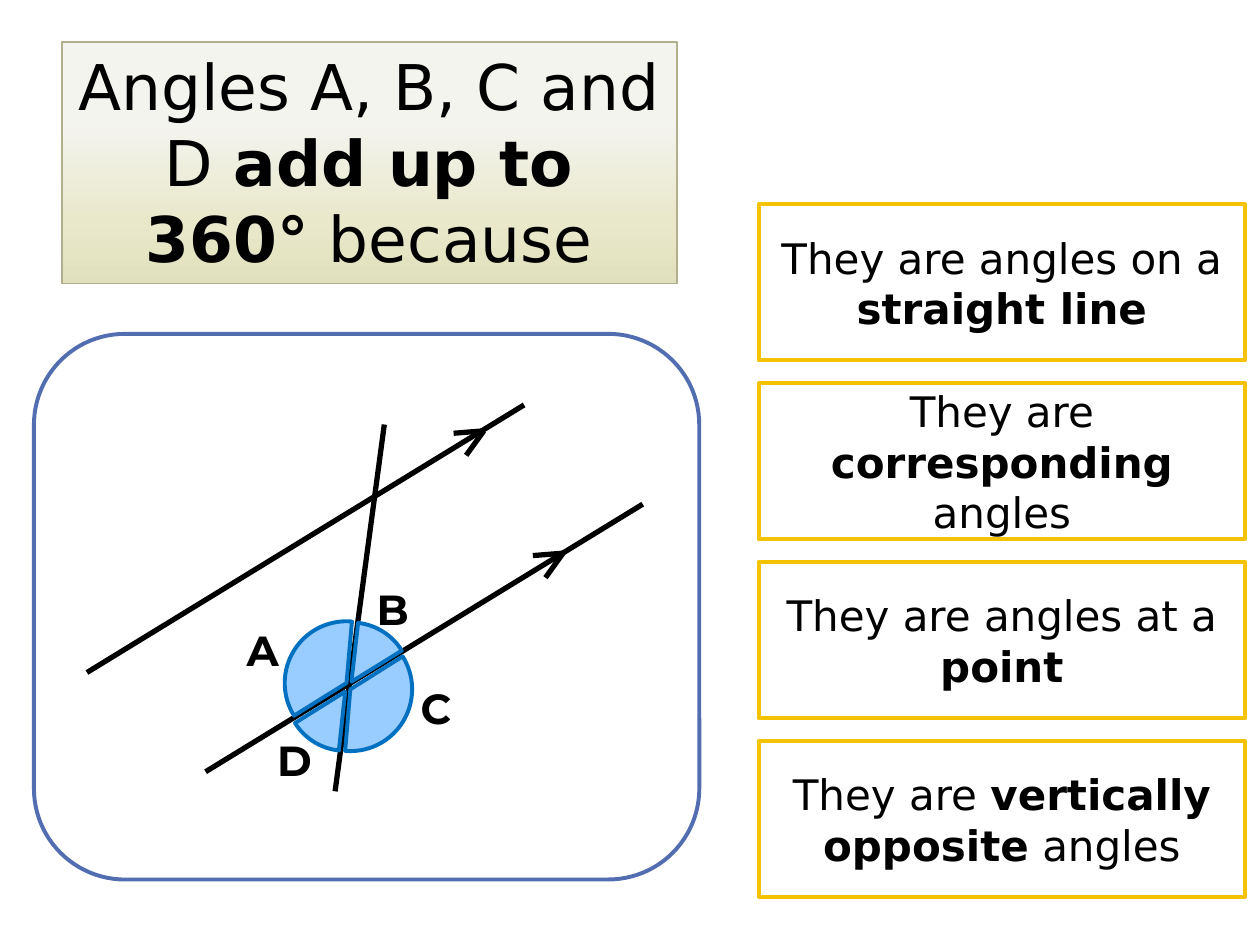
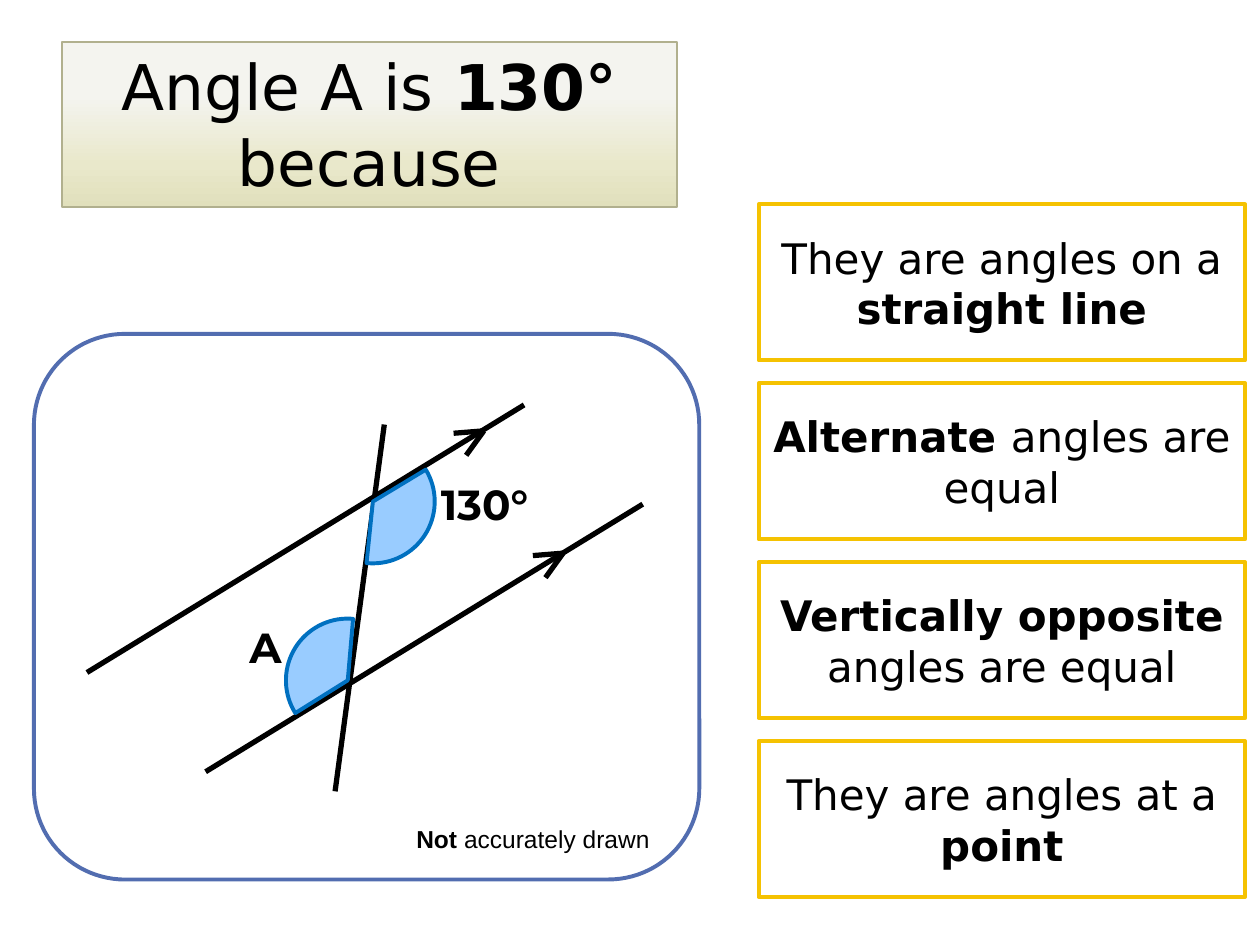
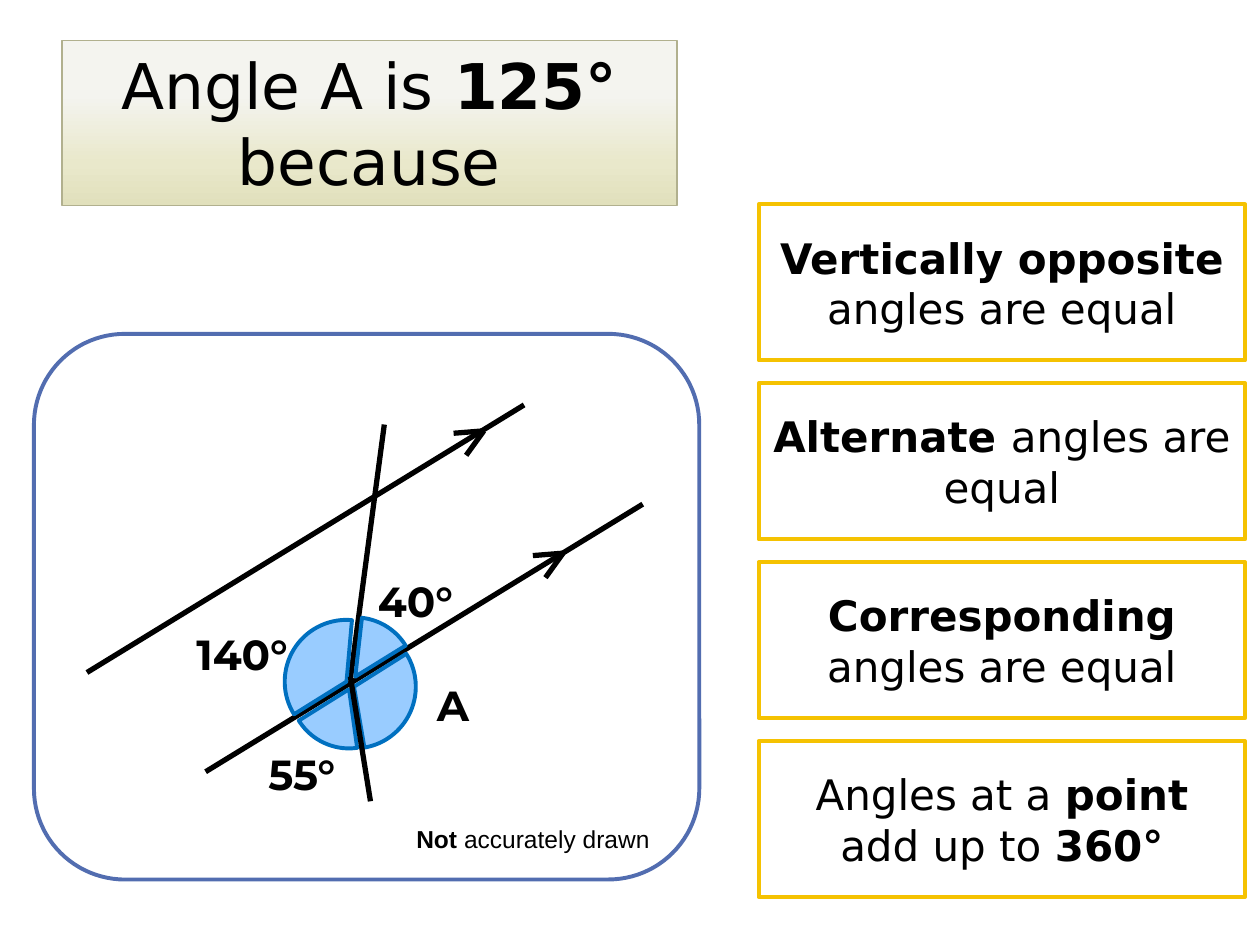
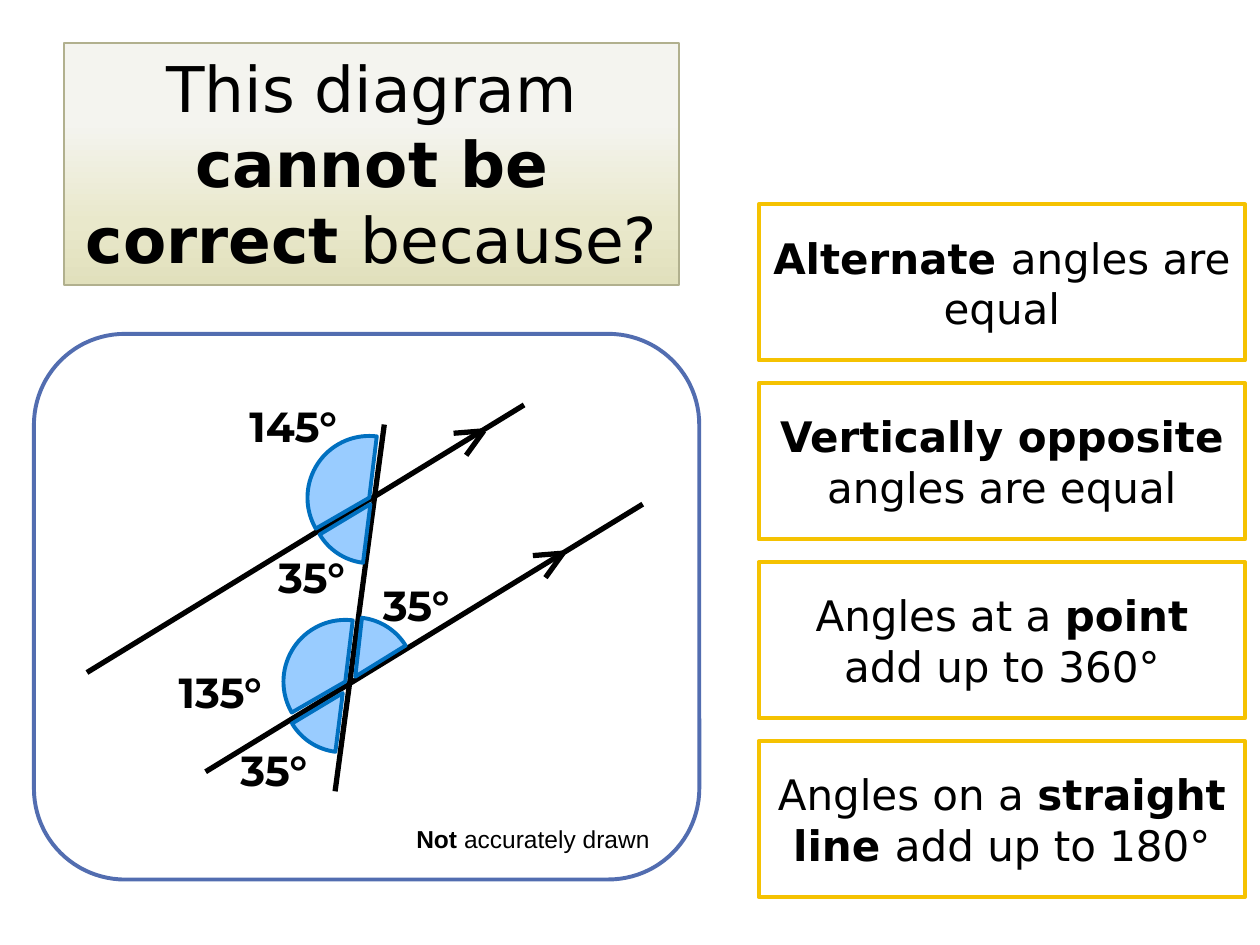
from copy import deepcopy
from dataclasses import dataclass

from pptx import Presentation
from pptx.dml.color import RGBColor
from pptx.enum import shapes, text
from pptx.oxml import ns, xmlchemy
from pptx.util import Pt


@dataclass(frozen=True)
class Theme:
    ink: str = "000000"
    paper: str = "FFFFFF"
    panel_edge: str = "526DB0"
    answer_edge: str = "F5C201"
    angle_fill: str = "99CCFF"
    angle_edge: str = "0070C0"
    question_edge: str = "B1B08E"
    question_stops: tuple = ((0, "E1E0BC"), (0.26, "E9E8CB"), (0.67, "F4F4EF"))
    body_font: str = "DejaVu Sans"
    label_font: str = "Montserrat"
    caveat_font: str = "Arial"
    question_size: float = 36
    body_size: float = 24
    caveat_size: float = 14
    edge: float = 2.25
    stroke: float = 3


THEME = Theme()
TITLE_ONLY = 5
LETTER, NARROW, WIDE = 28.1, 60.5, 73.4
OBTUSE = (70.6, 0, 127)
SHORT_OBTUSE = (70.6, 0, 112.5)
ACUTE = (67.7, 3.5, 55.3)
WIDE_ACUTE = (67.7, 349.4, 55.3)

CROSSING_TOP = (219.6, 242.6)
STRAIGHT = [(CROSSING_TOP, (191.5, 452.2))]
UPPER_BEND = [(CROSSING_TOP, (200.2, 388.1))]
LOWER_BEND = [((200.2, 386.6), (211.7, 457.9))]

ON_LINE = "They are angles on a **straight line**"
AT_POINT = "They are angles at a **point**"
ALTERNATE = "**Alternate **angles are equal"
OPPOSITE = "**Vertically opposite **angles are equal"

SLIDES = [
    dict(
        question="Angles A, B, C and D **add up to 360°** because",
        question_box=(35.3, 23.8, 351.4, 138.2),
        answers=[ON_LINE, "They are **corresponding** angles", AT_POINT,
                 "They are **vertically opposite** angles"],
        angles=[(OBTUSE, 164.9, 358.6, 327.8), (ACUTE, 163.4, 361.4, 92.7),
                (ACUTE, 167, 355.7, 273), (OBTUSE, 162.7, 355, 148.1)],
        labels=[("A", 133.9, 353.5, LETTER), ("B", 208.1, 329.8, LETTER),
                ("C", 233.3, 386.6, LETTER), ("D", 151.2, 416.2, LETTER)],
        caveat=False,
    ),
    dict(
        question="Angle A is **130° **because",
        question_box=(35.3, 23.8, 351.4, 94.3),
        answers=[ON_LINE, ALTERNATE, OPPOSITE, AT_POINT],
        angles=[(OBTUSE, 163.4, 353.5, 148), (OBTUSE, 177.8, 251.3, 328.9)],
        labels=[("A", 135.4, 351.4, LETTER), ("130°", 244.8, 270, WIDE)],
    ),
    dict(
        question="Angle A is **125° **because",
        question_box=(35.3, 23.2, 351.4, 94.3),
        answers=[OPPOSITE, ALTERNATE, "**Corresponding** angles are equal",
                 "Angles at a **point** add up to **360°**"],
        crossing=UPPER_BEND,
        crossing_over_angles=LOWER_BEND,
        angles=[(SHORT_OBTUSE, 167, 357.1, 327.8), (WIDE_ACUTE, 165.6, 360, 92.7),
                (ACUTE, 169.2, 352.8, 273), (OBTUSE, 162.7, 354.2, 148.1)],
        labels=[("A", 242.6, 384.5, LETTER), ("140°", 105.1, 355.7, WIDE),
                ("40°", 208.8, 325.4, WIDE), ("55°", 146.2, 424.1, WIDE)],
    ),
    dict(
        question="This diagram **cannot be correct **because?",
        question_box=(36.7, 24.5, 351.4, 138.2),
        answers=[ALTERNATE, OPPOSITE, "Angles at a **point** add up to 360°",
                 "Angles on a **straight line **add up to 180°"],
        angles=[(ACUTE, 169.2, 352.8, 273), (ACUTE, 177.8, 254.2, 93.7),
                (ACUTE, 162, 362.2, 93.7), (OBTUSE, 162, 354.2, 150),
                (OBTUSE, 175.7, 249.1, 150)],
        labels=[("35°", 211.7, 327.6, NARROW), ("35°", 151.9, 311.8, NARROW),
                ("35°", 130.3, 421.9, NARROW), ("135°", 95, 377.3, WIDE),
                ("145°", 135.4, 225.4, WIDE)],
    ),
]


def rgb(colour):
    return RGBColor.from_string(colour)


def points(*lengths):
    return [Pt(length) for length in lengths]


def write(frame, marked, font, size, align=text.PP_ALIGN.CENTER,
          anchor=text.MSO_ANCHOR.TOP):
    frame.word_wrap = True
    frame.vertical_anchor = anchor
    paragraph = frame.paragraphs[0]
    paragraph.alignment = align
    paragraph.font.name = font
    paragraph.font.size = Pt(size)
    paragraph.font.color.rgb = rgb(THEME.ink)
    for index, part in enumerate(marked.split("**")):
        if part:
            run = paragraph.add_run()
            run.text = part
            run.font.bold = index % 2 == 1


def outline(shape, colour, width):
    shape.line.color.rgb = rgb(colour)
    shape.line.width = Pt(width)


def add_outlined(slide, preset, box, fill, edge):
    shape = slide.shapes.add_shape(preset, *points(*box))
    shape.shadow.inherit = False
    shape.fill.solid()
    shape.fill.fore_color.rgb = rgb(fill)
    outline(shape, edge, THEME.edge)
    return shape


def add_line(container, start, end):
    line = container.shapes.add_connector(
        shapes.MSO_CONNECTOR.STRAIGHT, *points(*start, *end))
    outline(line, THEME.ink, THEME.stroke)
    line._element.spPr.append(xmlchemy.OxmlElement("a:effectLst"))


def add_lines(container, ends):
    for start, end in ends:
        add_line(container, start, end)


def add_parallels(slide):
    parallels = slide.shapes.add_group_shape()
    for dx, dy in ((0, 0), (67.8, 56.7)):
        add_line(parallels, (49.7 + dx, 384.3 + dy), (299.5 + dx, 231.4 + dy))
    for x, y in ((276.5, 246.2), (321.8, 316.1)):
        add_lines(parallels, [((x - 17.3, y + 1.4), (x, y)),
                              ((x, y), (x - 10.1, y + 14))])


def add_angle(slide, sector, left, top, rotation):
    size, start, end = sector
    angle = add_outlined(slide, shapes.MSO_SHAPE.PIE, (left, top, size, size),
                         THEME.angle_fill, THEME.angle_edge)
    angle.rotation = rotation
    for index, degrees in enumerate((start, end)):
        angle.adjustments[index] = degrees * 0.6


def add_text(slide, box, *style):
    note = slide.shapes.add_textbox(*points(*box))
    write(note.text_frame, *style)


def add_label(slide, name, left, top, width):
    add_text(slide, (left, top, width, 36), f"**{name}**", THEME.label_font,
             THEME.body_size, text.PP_ALIGN.LEFT)


def fill_question_gradient(question):
    question.fill.gradient()
    question.fill.gradient_angle = 90
    stop_list = question._element.spPr.find(".//" + ns.qn("a:gsLst"))
    stop_list.append(deepcopy(stop_list[-1]))
    for stop, (position, colour) in zip(question.fill.gradient_stops,
                                        THEME.question_stops):
        stop.position = position
        stop.color.rgb = rgb(colour)


def set_question(slide, wording, box):
    question = slide.shapes.title
    question.left, question.top, question.width, question.height = points(*box)
    fill_question_gradient(question)
    outline(question, THEME.question_edge, 1)
    write(question.text_frame, wording, THEME.body_font, THEME.question_size)
    question.text_frame.auto_size = text.MSO_AUTO_SIZE.SHAPE_TO_FIT_TEXT


def add_answers(slide, answers):
    for row, wording in enumerate(answers):
        answer = add_outlined(slide, shapes.MSO_SHAPE.RECTANGLE,
                              (433.5, 116.8 + 102.2 * row, 278, 89.2),
                              THEME.paper, THEME.answer_edge)
        write(answer.text_frame, wording, THEME.body_font, THEME.body_size,
              anchor=text.MSO_ANCHOR.MIDDLE)


def add_problem(deck, question, question_box, answers, angles, labels,
                crossing=STRAIGHT, crossing_over_angles=(), caveat=True):
    slide = deck.slides.add_slide(deck.slide_layouts[TITLE_ONLY])
    set_question(slide, question, question_box)
    add_outlined(slide, shapes.MSO_SHAPE.ROUNDED_RECTANGLE,
                 (19.4, 190.8, 380.2, 311.8), THEME.paper, THEME.panel_edge)
    add_parallels(slide)
    add_lines(slide, crossing)
    for angle in angles:
        add_angle(slide, *angle)
    add_lines(slide, crossing_over_angles)
    for label in labels:
        add_label(slide, *label)
    add_answers(slide, answers)
    if caveat:
        add_text(slide, (229.7, 467.3, 149.8, 24.5), "**Not** accurately drawn",
                 THEME.caveat_font, THEME.caveat_size)


def main():
    deck = Presentation()
    deck.slide_width, deck.slide_height = points(720, 540)
    for problem in SLIDES:
        add_problem(deck, **problem)
    deck.save("out.pptx")


if __name__ == "__main__":
    main()
